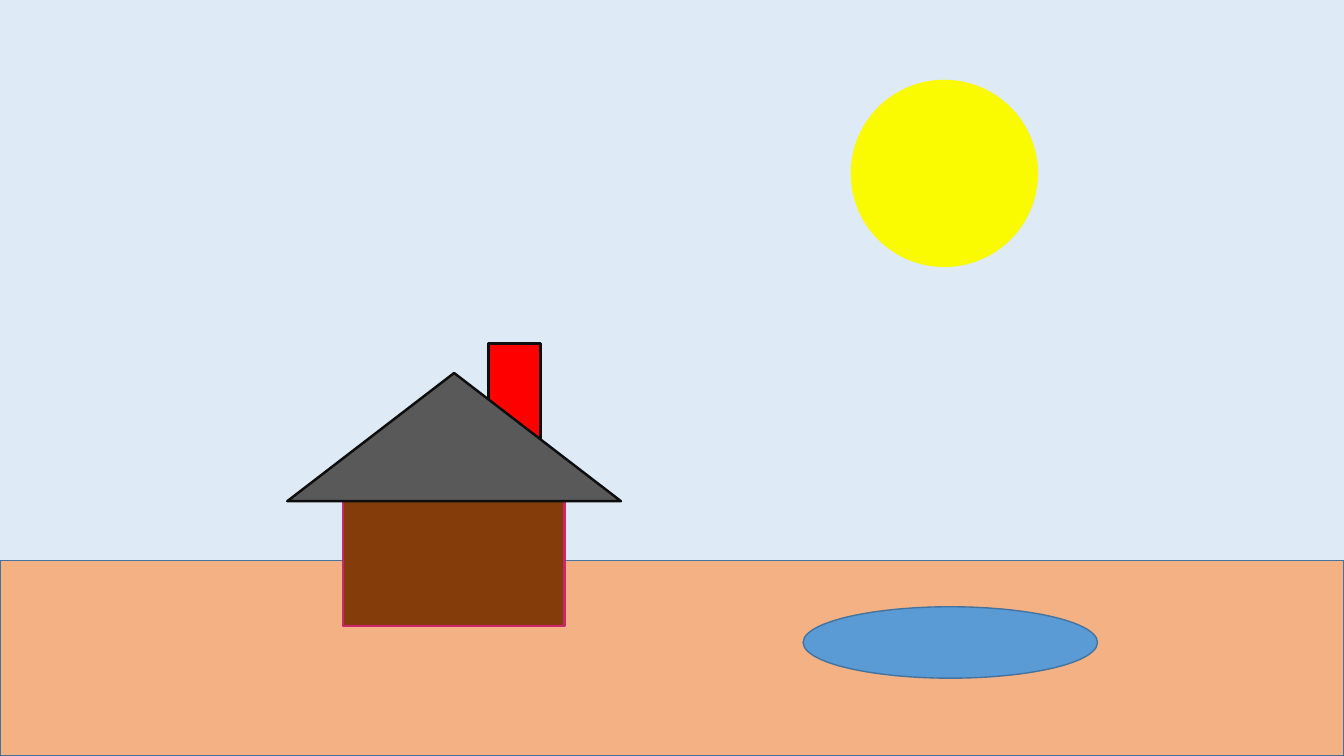
import pptx
import pptx.dml.color
import pptx.enum.shapes
import pptx.util

Cm = pptx.util.Cm
Shape = pptx.enum.shapes.MSO_SHAPE

SKY = "DEEBF7"
INK = "0D0D0D"
BLUE_EDGE = "43739E"

# kind, (left, top, width, height) in cm, fill, line colour, line width in points
GROUND = (Shape.RECTANGLE, (0, 14.12, 33.87, 4.93), "F4B183", BLUE_EDGE, 1)
CHIMNEY = (Shape.RECTANGLE, (12.32, 8.66, 1.3, 2.95), "FF0000", INK, 2)
SUN = (Shape.OVAL, (21.44, 2.01, 4.72, 4.72), "FAFA00", None, 0)
WALLS = (Shape.RECTANGLE, (8.64, 12.62, 5.59, 3.15), "843C0B", "CA266C", 1.75)
ROOF = (Shape.ISOSCELES_TRIANGLE, (7.24, 9.4, 8.41, 3.23), "595959", INK, 1.75)
POND = (Shape.OVAL, (20.24, 15.29, 7.42, 1.8), "5B9BD5", BLUE_EDGE, 1)


def color(hex_string):
    return pptx.dml.color.RGBColor.from_string(hex_string)


def draw(shapes, part):
    """Add one part of the scene to a slide's or a group's shapes."""
    kind, place, fill, line, width = part
    shape = shapes.add_shape(kind, *(Cm(length) for length in place))
    shape.shadow.inherit = False
    shape.fill.solid()
    shape.fill.fore_color.rgb = color(fill)
    if line:
        shape.line.color.rgb = color(line)
        shape.line.width = pptx.util.Pt(width)
    else:
        shape.line.fill.background()


def main():
    deck = pptx.Presentation()
    deck.slide_width, deck.slide_height = Cm(33.87), Cm(19.05)
    page = deck.slides.add_slide(deck.slide_layouts[6])
    page.background.fill.solid()
    page.background.fill.fore_color.rgb = color(SKY)

    for part in (GROUND, CHIMNEY, SUN):
        draw(page.shapes, part)
    house = page.shapes.add_group_shape()
    for part in (WALLS, ROOF):
        draw(house.shapes, part)
    draw(page.shapes, POND)

    deck.save("out.pptx")


if __name__ == "__main__":
    main()
